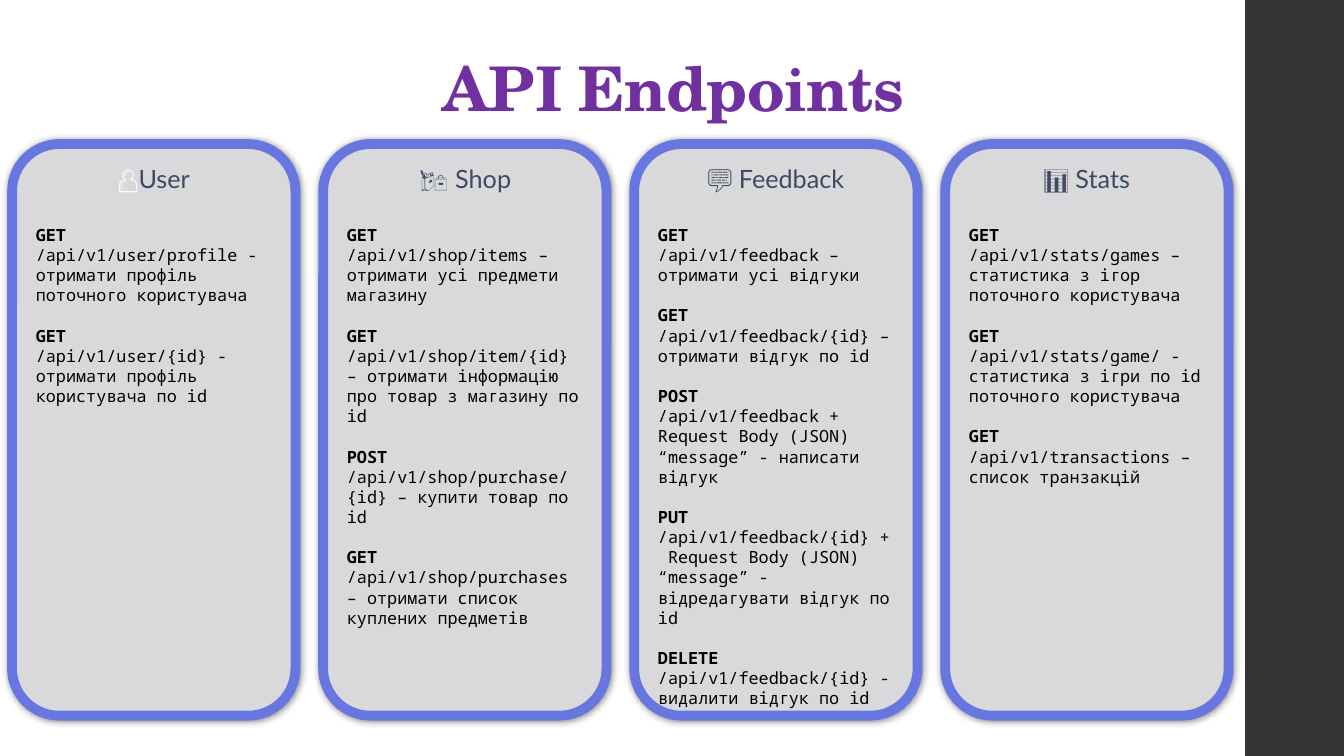
"""Build the API Endpoints slide with one card per endpoint group."""
from lxml.etree import SubElement
from pptx import Presentation
from pptx.dml.color import RGBColor
from pptx.enum.shapes import MSO_SHAPE as Shape
from pptx.enum.text import MSO_ANCHOR as Anchor, PP_ALIGN as Align
from pptx.oxml.ns import qn
from pptx.util import Inches, Pt

TITLE = "API Endpoints"
GROUPS = [
    ("👤", "User", [
        ("GET", "/api/v1/user/profile - отримати профіль поточного користувача"),
        ("GET", "/api/v1/user/{id} - отримати профіль користувача по id"),
    ]),
    ("🛍️", " Shop", [
        ("GET", "/api/v1/shop/items – отримати усі предмети магазину"),
        ("GET", "/api/v1/shop/item/{id} – отримати інформацію про товар з магазину по id"),
        ("POST", "/api/v1/shop/purchase/{id} – купити товар по id"),
        ("GET", "/api/v1/shop/purchases – отримати список куплених предметів"),
    ]),
    ("💬", " Feedback", [
        ("GET", "/api/v1/feedback – отримати усі відгуки"),
        ("GET", "/api/v1/feedback/{id} – отримати відгук по id"),
        ("POST", "/api/v1/feedback + Request Body (JSON) “message” - написати відгук"),
        ("PUT", "/api/v1/feedback/{id} +  Request Body (JSON) “message” - відредагувати відгук по id"),
        ("DELETE", "/api/v1/feedback/{id} - видалити відгук по id"),
    ]),
    ("📊", " Stats", [
        ("GET", "/api/v1/stats/games – статистика з ігор поточного користувача"),
        ("GET", "/api/v1/stats/game/ - статистика з ігри по id поточного користувача"),
        ("GET", "/api/v1/transactions – список транзакцій"),
    ]),
]

SERIF, SANS, MONO = "TeX Gyre Schola", "Lato", "Noto Sans Mono"
PURPLE = RGBColor(0x70, 0x30, 0xA0)
BORDER = RGBColor(0x68, 0x77, 0xE0)
CARD = RGBColor(0xD9, 0xD9, 0xDB)
BAND = RGBColor(0x35, 0x35, 0x37)
SLATE = RGBColor(0x3D, 0x4B, 0x62)
WHITE = RGBColor(0xFF, 0xFF, 0xFF)
BLACK = RGBColor(0, 0, 0)

CARD_LEFT, CARD_TOP, CARD_WIDTH, CARD_HEIGHT = 0.12, 1.43, 2.81, 5.67
CARD_STEP = 3.085
HEADING_LINE, HEADING_GAP, BODY_LINE = 22, 22, 14.4


def add_span(para, text, font=MONO, size=12, color=BLACK, bold=False, tracking=None):
    span = para.add_run()
    span.text = text
    span.font.name, span.font.size, span.font.bold = font, Pt(size), bold
    span.font.color.rgb = color
    properties = span.font._element
    for script in ("a:ea", "a:cs"):
        SubElement(properties, qn(script)).set("typeface", font)
    if tracking is not None:
        properties.set("spc", str(round(tracking * 100)))


def add_soft_shadow(shape):
    shape.shadow.inherit = False
    effects = shape._element.spPr.find(qn("a:effectLst"))
    shadow = SubElement(effects, qn("a:outerShdw"), blurRad=str(Pt(5)), dist="0")
    color = SubElement(shadow, qn("a:srgbClr"), val="000000")
    SubElement(color, qn("a:alpha"), val="45000")


def add_card(page, left, icon, name, endpoints):
    card = page.shapes.add_shape(Shape.ROUNDED_RECTANGLE, Inches(left), Inches(CARD_TOP),
                                 Inches(CARD_WIDTH), Inches(CARD_HEIGHT))
    card.fill.solid()
    card.fill.fore_color.rgb = CARD
    card.line.color.rgb = BORDER
    card.line.width = Pt(7)
    add_soft_shadow(card)
    frame = card.text_frame
    frame.word_wrap = True
    frame.vertical_anchor = Anchor.TOP

    heading = frame.paragraphs[0]
    heading.alignment = Align.CENTER
    heading.line_spacing = Pt(HEADING_LINE)
    heading.space_after = Pt(HEADING_GAP)
    if name == "User":
        add_span(heading, icon, font=SERIF, size=18, color=WHITE, bold=True)
    else:
        add_span(heading, icon, font=SANS, size=18, color=SLATE)
    add_span(heading, name, font=SANS, size=18, color=SLATE)

    for index, (method, route) in enumerate(endpoints):
        para = frame.add_paragraph()
        para.alignment = Align.LEFT
        para.line_spacing = Pt(BODY_LINE)
        para.space_before = Pt(BODY_LINE if index else 0)
        add_span(para, method, bold=True)
        para.add_line_break()
        add_span(para, route)


def main():
    deck = Presentation()
    deck.slide_width, deck.slide_height = Inches(13.33), Inches(7.5)
    page = deck.slides.add_slide(deck.slide_layouts[6])

    band = page.shapes.add_shape(Shape.RECTANGLE, Inches(12.35), 0, Inches(0.98), Inches(7.5))
    band.shadow.inherit = False
    band.fill.solid()
    band.fill.fore_color.rgb = BAND
    band.line.fill.background()

    title = page.shapes.add_textbox(Inches(1.38), Inches(0.4), Inches(10.6), Inches(0.89))
    title.text_frame.word_wrap = True
    title.text_frame.vertical_anchor = Anchor.BOTTOM
    para = title.text_frame.paragraphs[0]
    para.alignment = Align.CENTER
    para.line_spacing = 0.9
    add_span(para, TITLE, font=SERIF, size=44, color=PURPLE, bold=True, tracking=-0.5)

    for index, group in enumerate(GROUPS):
        add_card(page, CARD_LEFT + index * CARD_STEP, *group)
    deck.save("out.pptx")


if __name__ == "__main__":
    main()
